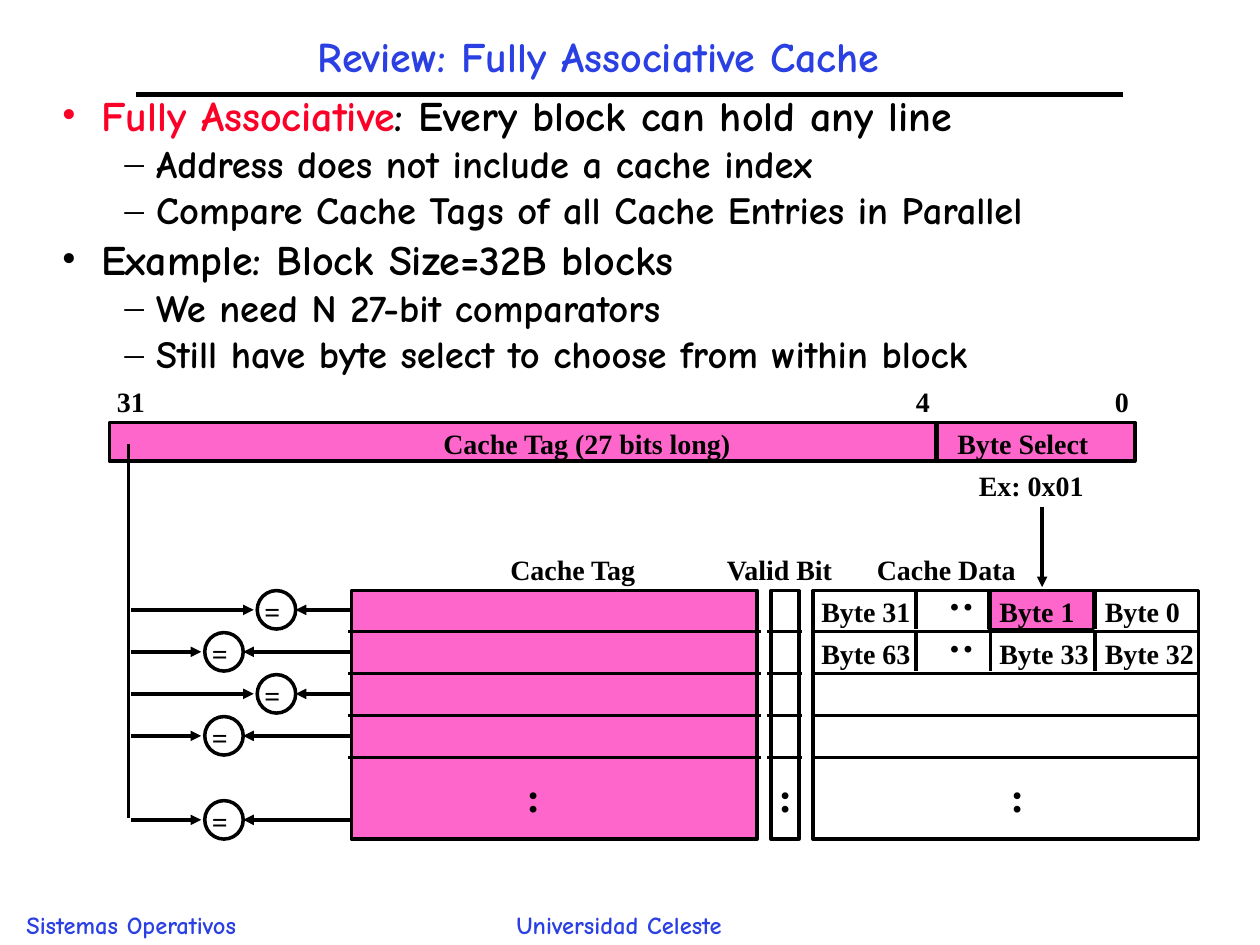
from lxml.etree import SubElement
from pptx import Presentation
from pptx.dml.color import RGBColor
from pptx.enum.shapes import MSO_CONNECTOR, MSO_SHAPE
from pptx.enum.text import MSO_ANCHOR, MSO_AUTO_SIZE, PP_ALIGN
from pptx.oxml.ns import qn
from pptx.util import Pt

BLACK, BLUE, RED, PINK = "000000", "2A40E2", "FC0128", "FF66CC"
COMIC, TIMES = "Comic Neue", "Times New Roman"

TITLE = "Review: Fully Associative Cache"
FOOTERS = [("Sistemas Operativos", 8, 135), ("Universidad Celeste", 288, 130)]
BULLETS = [
    (0, [("Fully Associative", RED), (": Every block can hold any line", BLACK)]),
    (1, [("Address does not include a cache index", BLACK)]),
    (1, [("Compare Cache Tags of all Cache Entries in Parallel", BLACK)]),
    (0, [("Example: Block Size=32B blocks", BLACK)]),
    (1, [("We need N 27-bit comparators", BLACK)]),
    (1, [("Still have byte select to choose from within block", BLACK)]),
]
LEVELS = [
    {"size": 24, "margin": 22.5, "hang": 22.5, "before": 6, "bullet": "•"},
    {"size": 22, "margin": 54, "hang": 18, "before": 5.5, "bullet": "–"},
]

TOP, ROW, ROWS_HEIGHT = 337.5, 24, 142
TAG_LEFT, TAG_WIDTH = 200.75, 232
VALID_LEFT, VALID_WIDTH = 440.5, 16
DATA_LEFT, DATA_WIDTH = 464.5, 220.5
FIELD_TOP, FIELD_HEIGHT = 241.5, 22
FIELD_LEFT, FIELD_SPLIT, FIELD_RIGHT = 62.5, 535.5, 648.5

HIGHLIGHTS = [
    (TAG_LEFT, TOP, TAG_WIDTH, ROWS_HEIGHT),
    (565, TOP, 60, 22),
    (FIELD_SPLIT, FIELD_TOP, FIELD_RIGHT - FIELD_SPLIT, FIELD_HEIGHT),
    (FIELD_LEFT, FIELD_TOP, FIELD_SPLIT - FIELD_LEFT - 1, FIELD_HEIGHT),
]
COLUMNS = [
    (TAG_LEFT, TAG_WIDTH, 2, 293.75),
    (VALID_LEFT, VALID_WIDTH, 2, 437.75),
    (DATA_LEFT, DATA_WIDTH, 0, 570.25),
]
LABELS = [
    ("31", 59.75, 216, 30),
    ("4", 516.25, 216, 22),
    ("0", 630, 216, 22),
    ("Cache Tag (27 bits long)", 246.25, 240, 180),
    ("Byte Select", 540, 240, 89),
    ("Ex: 0x01", 552.25, 264, 74),
    ("Cache Tag", 284.5, 312, 87),
    ("Valid Bit", 408.25, 312, 76),
    ("Cache Data", 494, 312, 94),
]
BYTE_ROWS = [("Byte 31", "Byte 1", "Byte 0"), ("Byte 63", "Byte 33", "Byte 32")]
BYTE_LEFTS = (462.25, 564, 624.25)
BYTE_DIVIDERS = (523.5, 566, 625.75)
COMPARATORS = [(0, 158), (1, 128), (2, 158), (3, 128), (5, 128)]
BUS_X, RADIUS = 73.5, 11

prs = Presentation()
prs.slide_width, prs.slide_height = Pt(720), Pt(540)
s = prs.slides.add_slide(prs.slide_layouts[6])


def color(value):
    return RGBColor.from_string(value)


def add_run(p, text, size, font, fill):
    r = p.add_run()
    r.text = text
    r.font.size, r.font.name, r.font.bold = Pt(size), font, True
    r.font.color.rgb = color(fill)


def add_text(text, x, y, w, h, size=16, font=TIMES, fill=BLACK, align=PP_ALIGN.LEFT,
             wrap=False, inset=(7.2, 3.6), spacing=None, rotation=0):
    sp = s.shapes.add_textbox(Pt(x), Pt(y), Pt(w), Pt(h))
    sp.rotation = rotation
    tf = sp.text_frame
    tf.word_wrap, tf.auto_size = wrap, MSO_AUTO_SIZE.NONE
    tf.vertical_anchor = MSO_ANCHOR.TOP
    tf.margin_left = tf.margin_right = Pt(inset[0])
    tf.margin_top = tf.margin_bottom = Pt(inset[1])
    p = tf.paragraphs[0]
    p.alignment = align
    if spacing:
        p.line_spacing = spacing
    if text:
        add_run(p, text, size, font, fill)
    return tf


def add_box(kind, x, y, w, h, fill=None, width=2):
    sp = s.shapes.add_shape(kind, Pt(x), Pt(y), Pt(w), Pt(h))
    sp.shadow.inherit = False
    if fill:
        sp.fill.solid()
        sp.fill.fore_color.rgb = color(fill)
    else:
        sp.fill.background()
    sp.line.color.rgb, sp.line.width = color(BLACK), Pt(width)


def add_line(x1, y1, x2, y2, width=2, arrow=False):
    cn = s.shapes.add_connector(MSO_CONNECTOR.STRAIGHT, Pt(x1), Pt(y1), Pt(x2), Pt(y2))
    cn.line.color.rgb, cn.line.width = color(BLACK), Pt(width)
    if arrow:
        SubElement(cn.line._get_or_add_ln(), qn("a:tailEnd"), type="triangle")
    SubElement(cn._element.spPr, qn("a:effectLst"))


def add_bullets():
    tf = add_text("", 30.25, 54, 666, 196.5, wrap=True, inset=(5, 2.5))
    for i, (depth, runs) in enumerate(BULLETS):
        level = LEVELS[depth]
        p = tf.paragraphs[0] if i == 0 else tf.add_paragraph()
        p.level, p.line_spacing, p.space_before = depth, 0.8, Pt(level["before"])
        pPr = p._p.get_or_add_pPr()
        pPr.set("marL", str(Pt(level["margin"])))
        pPr.set("indent", str(-Pt(level["hang"])))
        SubElement(SubElement(pPr, qn("a:buClr")), qn("a:srgbClr"), val=runs[0][1])
        SubElement(pPr, qn("a:buFont"), typeface=TIMES)
        SubElement(pPr, qn("a:buChar"), char=level["bullet"])
        for text, fill in runs:
            add_run(p, text, level["size"], COMIC, fill)


for text, x, w in FOOTERS:
    add_text(text, x, 516.25, w, 24, size=14, font=COMIC, fill=BLUE)
add_line(78, 54, 642, 54, width=3)
for box in HIGHLIGHTS:
    add_box(MSO_SHAPE.RECTANGLE, *box, fill=PINK, width=1.5)
add_text(TITLE, 152.75, 18, 378.5, 30.25, size=24, font=COMIC, fill=BLUE,
         align=PP_ALIGN.CENTER, wrap=True, inset=(5, 2.5), spacing=0.9)
add_bullets()

for x, w, overhang, colon_x in COLUMNS:
    add_box(MSO_SHAPE.RECTANGLE, x, TOP, w, ROWS_HEIGHT)
    for i in range(1, 5):
        y = TOP + i * ROW - 0.5
        add_line(x - overhang, y, x + w + overhang, y)
    add_text(":", colon_x, 437, 22, 36, size=24)

for i, names in enumerate(BYTE_ROWS):
    y = TOP + i * ROW
    for name, x in zip(names, BYTE_LEFTS):
        add_text(name, x, y - 1.5, 58 if len(name) < 7 else 66, 26)
    for x in BYTE_DIVIDERS:
        add_line(x, y, x, y + 22)
    add_text(":", 534.25, y - 8.25, 22, 36, size=24, rotation=270)

add_box(MSO_SHAPE.RECTANGLE, FIELD_LEFT, FIELD_TOP, FIELD_RIGHT - FIELD_LEFT, FIELD_HEIGHT)
add_line(FIELD_SPLIT, FIELD_TOP, FIELD_SPLIT, FIELD_TOP + FIELD_HEIGHT)
for text, x, y, w in LABELS:
    add_text(text, x, y, w, 26)

add_line(BUS_X, 253.5, BUS_X, 467.5)
for row, cx in COMPARATORS:
    cy = TOP + row * ROW + 11
    add_box(MSO_SHAPE.OVAL, cx - RADIUS, cy - RADIUS, 2 * RADIUS, 2 * RADIUS)
    add_text("=", cx - 14, cy - 12.5, 23, 26)
    add_line(TAG_LEFT, cy, cx + RADIUS, cy, arrow=True)
    add_line(BUS_X + 1.5, cy, cx - RADIUS - 2, cy, arrow=True)
add_line(595.5, 289.5, 595.5, 335.5, arrow=True)

prs.save("out.pptx")
